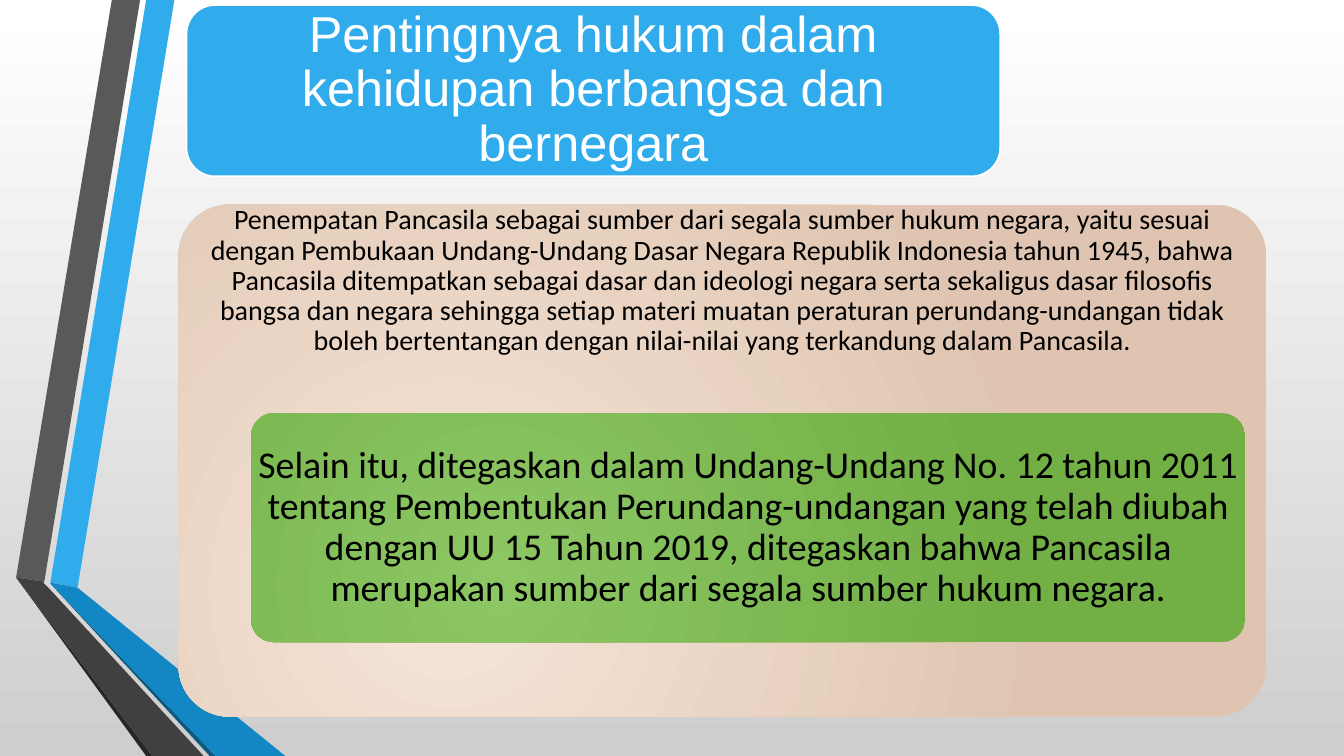
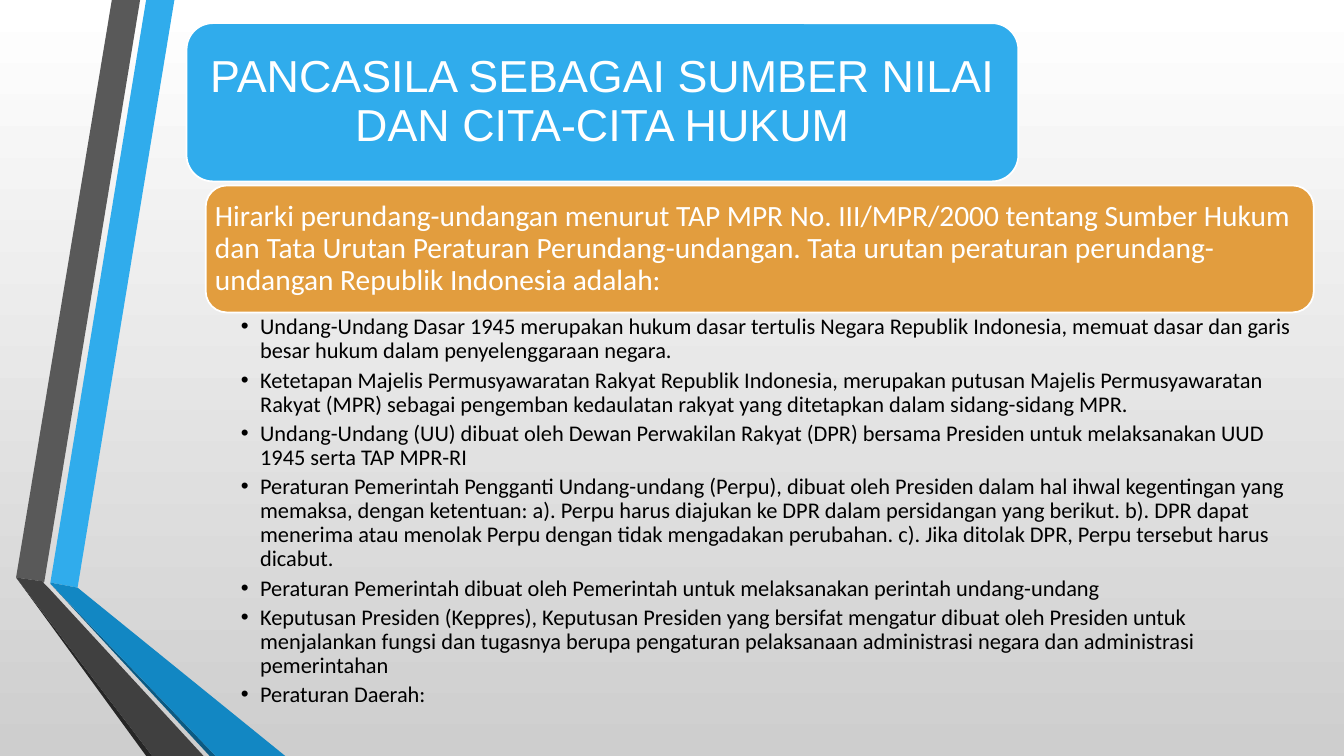
from lxml.etree import SubElement
from pptx import Presentation
from pptx.dml.color import RGBColor
from pptx.enum.shapes import MSO_SHAPE
from pptx.enum.text import MSO_ANCHOR, PP_ALIGN
from pptx.oxml.ns import qn
from pptx.util import Inches, Pt

COLORS = {
    "blue": "30ACEC", "blue_deep": "1287C3", "blue_edge": "0C5A82",
    "gray": "595959", "gray_deep": "404040", "gray_edge": "262626",
    "white": "FFFFFF", "silver": "CECECE", "black": "000000",
    "peach_light": "F6E5D8", "peach": "DFC5B1",
    "green_light": "8CC764", "green": "72AF45", "orange": "E29D3E",
}
RGB = {name: RGBColor.from_string(value) for name, value in COLORS.items()}


def add_panel(slide, left, top, width, height, colors, corner=0.16667):
    panel = slide.shapes.add_shape(
        MSO_SHAPE.ROUNDED_RECTANGLE, Inches(left), Inches(top), Inches(width), Inches(height))
    panel.adjustments[0] = corner
    panel.shadow.inherit = False
    if len(colors) == 1:
        panel.fill.solid()
        panel.fill.fore_color.rgb = RGB[colors[0]]
        panel.line.color.rgb = RGB["white"]
        panel.line.width = Pt(1.25)
        return panel
    panel.line.fill.background()
    panel.fill.gradient()
    for stop, color in zip(panel.fill.gradient_stops, colors):
        stop.color.rgb = RGB[color]
    gradient = panel.element.spPr.find(qn("a:gradFill"))
    gradient.remove(gradient.find(qn("a:lin")))
    glow = SubElement(gradient, qn("a:path"), path="circle")
    SubElement(glow, qn("a:fillToRect"), l="50000", t="100000", r="100000", b="50000")
    return panel


def write(shape, texts, size, color, margins, font="Calibri",
          align=PP_ALIGN.CENTER, anchor=MSO_ANCHOR.MIDDLE, bullets=False):
    frame = shape.text_frame
    frame.word_wrap = True
    frame.vertical_anchor = anchor
    frame.margin_left, frame.margin_top, frame.margin_right, frame.margin_bottom = map(Inches, margins)
    for index, text in enumerate(texts):
        paragraph = frame.add_paragraph() if index else frame.paragraphs[0]
        if bullets:
            properties = paragraph._p.get_or_add_pPr()
            properties.set("marL", str(Inches(0.19)))
            properties.set("indent", str(-Inches(0.19)))
            SubElement(properties, qn("a:buFont"), typeface="Arial")
            SubElement(properties, qn("a:buChar"), char="•")
            paragraph.space_after = Pt(3.5)
        paragraph.alignment = align
        paragraph.line_spacing = 0.9
        run = paragraph.add_run()
        run.text = text
        run.font.name = font
        run.font.size = Pt(size)
        run.font.color.rgb = RGB[color]


prs = Presentation()
prs.slide_width, prs.slide_height = Inches(13.33), Inches(7.5)
layout = prs.slide_layouts[6]
for placeholder in list(layout.placeholders):
    placeholder.element.getparent().remove(placeholder.element)

backdrop = layout.background.fill
backdrop.gradient()
backdrop.gradient_angle = 270
for stop, color in zip(backdrop.gradient_stops, ["white", "silver"]):
    stop.color.rgb = RGB[color]

law_slide = prs.slides.add_slide(layout)

RIBBONS = [
    ("blue", [(0.5, 5.78), (0.77, 5.83), (1.73, 0), (1.45, 0)]),
    ("gray", [(1.39, 0), (1.11, 0), (0.16, 5.73), (0.44, 5.77)]),
    ("gray_edge", [(0.16, 5.73), (1.45, 7.5), (1.51, 7.5)]),
    ("blue_edge", [(0.5, 5.79), (2.08, 7.5), (2.14, 7.5)]),
    ("blue_deep", [(0.5, 5.78), (0.5, 5.79), (2.14, 7.5), (2.83, 7.5), (0.77, 5.83)]),
    ("gray_deep", [(2.02, 7.5), (0.48, 5.83), (0.43, 5.78), (0.44, 5.77), (0.16, 5.73), (1.51, 7.5)]),
]
for color, corners in RIBBONS:
    points = [(Inches(x), Inches(y)) for x, y in corners]
    outline = law_slide.shapes.build_freeform(*points[0])
    outline.add_line_segments(points[1:], close=True)
    ribbon = outline.convert_to_shape()
    ribbon.shadow.inherit = False
    ribbon.fill.solid()
    ribbon.fill.fore_color.rgb = RGB[color]
    ribbon.line.fill.background()
    layout.shapes.element.append(ribbon.element)

hierarchy_slide = prs.slides.add_slide(layout)

TITLES = [
    (law_slide, "Pentingnya hukum dalam kehidupan berbangsa dan bernegara", 36, 0.05, 8.07, 1.7, 0.07),
    (hierarchy_slide, "PANCASILA SEBAGAI SUMBER NILAI DAN CITA-CITA HUKUM", 32, 0.23, 8.25, 1.57, 0.05),
]
for slide, title, size, top, width, height, margin in TITLES:
    banner = add_panel(slide, 1.85, top, width, height, ["blue"])
    write(banner, [title], size, "white", [margin] * 4, font="Arial")

add_panel(law_slide, 1.77, 2.03, 10.79, 5.08, ["peach_light", "peach"], corner=0.1)
position = law_slide.shapes.add_textbox(Inches(1.77), Inches(2.03), Inches(10.79), Inches(1.52))
write(position, [
    "Penempatan Pancasila sebagai sumber dari segala sumber hukum negara, yaitu sesuai dengan "
    "Pembukaan Undang-Undang Dasar Negara Republik Indonesia tahun 1945, bahwa Pancasila "
    "ditempatkan sebagai dasar dan ideologi negara serta sekaligus dasar filosofis bangsa dan "
    "negara sehingga setiap materi muatan peraturan perundang-undangan tidak boleh bertentangan "
    "dengan nilai-nilai yang terkandung dalam Pancasila.",
], 20, "black", [0.16] * 4)

affirmation = add_panel(law_slide, 2.49, 4.1, 9.86, 2.27, ["green_light", "green"], corner=0.1)
write(affirmation, [
    "Selain itu, ditegaskan dalam Undang-Undang No. 12 tahun 2011 tentang Pembentukan "
    "Perundang-undangan yang telah diubah dengan UU 15 Tahun 2019, ditegaskan bahwa Pancasila "
    "merupakan sumber dari segala sumber hukum negara.",
], 27, "black", [0] * 4)

introduction = add_panel(hierarchy_slide, 2.04, 1.84, 10.99, 1.26, ["orange"])
write(introduction, [
    "Hirarki perundang-undangan menurut TAP MPR No. III/MPR/2000 tentang Sumber Hukum dan Tata "
    "Urutan Peraturan Perundang-undangan. Tata urutan peraturan perundang-undangan Republik "
    "Indonesia adalah:",
], 21, "white", [0.03] * 4, align=PP_ALIGN.LEFT)

regulations = hierarchy_slide.shapes.add_textbox(Inches(2.04), Inches(3.1), Inches(10.99), Inches(4.09))
write(regulations, [
    "Undang-Undang Dasar 1945 merupakan hukum dasar tertulis Negara Republik Indonesia, memuat "
    "dasar dan garis besar hukum dalam penyelenggaraan negara.",
    "Ketetapan Majelis Permusyawaratan Rakyat Republik Indonesia, merupakan putusan Majelis "
    "Permusyawaratan Rakyat (MPR) sebagai pengemban kedaulatan rakyat yang ditetapkan dalam "
    "sidang-sidang MPR.",
    "Undang-Undang (UU) dibuat oleh Dewan Perwakilan Rakyat (DPR) bersama Presiden untuk "
    "melaksanakan UUD 1945 serta TAP MPR-RI",
    "Peraturan Pemerintah Pengganti Undang-undang (Perpu), dibuat oleh Presiden dalam hal ihwal "
    "kegentingan yang memaksa, dengan ketentuan: a). Perpu harus diajukan ke DPR dalam "
    "persidangan yang berikut. b). DPR dapat menerima atau menolak Perpu dengan tidak mengadakan "
    "perubahan. c). Jika ditolak DPR, Perpu tersebut harus dicabut.",
    "Peraturan Pemerintah dibuat oleh Pemerintah untuk melaksanakan perintah undang-undang",
    "Keputusan Presiden (Keppres), Keputusan Presiden yang bersifat mengatur dibuat oleh Presiden "
    "untuk menjalankan fungsi dan tugasnya berupa pengaturan pelaksanaan administrasi negara dan "
    "administrasi pemerintahan",
    "Peraturan Daerah:",
], 16, "black", [0.35, 0.03, 0.16, 0.03], align=PP_ALIGN.LEFT, anchor=MSO_ANCHOR.TOP, bullets=True)

prs.save("out.pptx")
